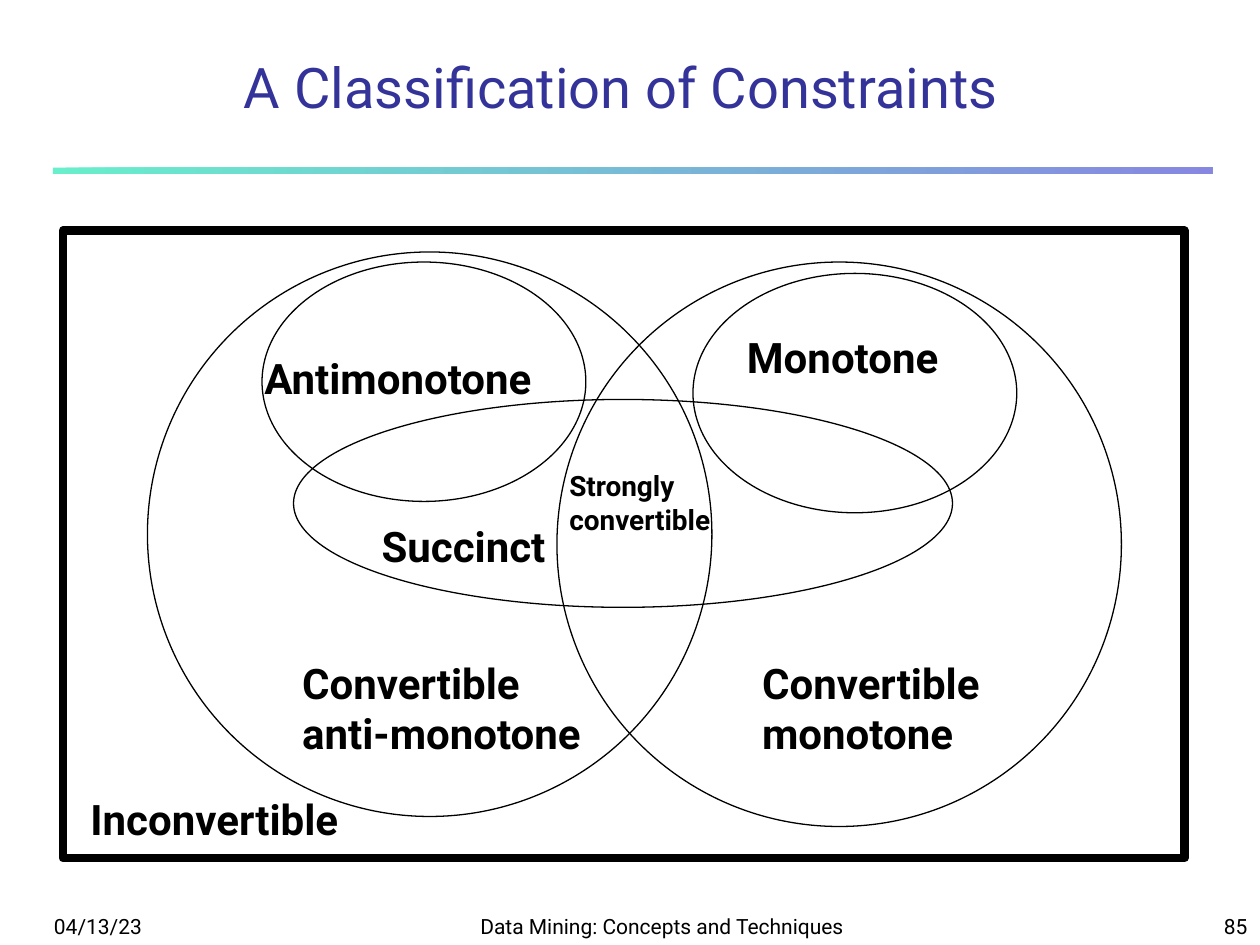
from lxml import etree
from pptx import Presentation
from pptx.dml.color import RGBColor
from pptx.enum.shapes import MSO_SHAPE
from pptx.enum.text import MSO_ANCHOR, MSO_AUTO_SIZE, PP_ALIGN
from pptx.oxml.ns import qn
from pptx.util import Inches, Pt

RECTANGLE, OVAL = MSO_SHAPE.RECTANGLE, MSO_SHAPE.OVAL
TOP, BOTTOM = MSO_ANCHOR.TOP, MSO_ANCHOR.BOTTOM
LEFT, CENTER, RIGHT = PP_ALIGN.LEFT, PP_ALIGN.CENTER, PP_ALIGN.RIGHT
NO_AUTOFIT = MSO_AUTO_SIZE.NONE

BLACK = RGBColor(0x00, 0x00, 0x00)
TITLE_BLUE = RGBColor(0x33, 0x33, 0x99)
RULE_GREEN = RGBColor(0x00, 0xE4, 0xA8)
RULE_BLUE = RGBColor(0x33, 0x33, 0xCC)
RULE_OPACITY = 59  # percent
FONT = "Roboto"

BIG_CIRCLE = (4.48, 4.48)
SMALL_OVAL = (2.57, 1.9)


def write_text(shape, text, size, color=BLACK, bold=False, align=LEFT,
               anchor=TOP, wrap=True):
    frame = shape.text_frame
    frame.text = text
    frame.word_wrap = wrap
    frame.auto_size = NO_AUTOFIT
    frame.vertical_anchor = anchor
    for paragraph in frame.paragraphs:
        paragraph.alignment = align
        paragraph.font.name = FONT
        paragraph.font.size = Pt(size)
        paragraph.font.bold = bold
        paragraph.font.color.rgb = color


def add_text(shapes, box, text, size, **style):
    textbox = shapes.add_textbox(*map(Inches, box))
    write_text(textbox, text, size, **style)


def add_outline(shapes, kind, box, width):
    outline = shapes.add_shape(kind, *map(Inches, box))
    outline.shadow.inherit = False
    outline.fill.background()
    outline.line.color.rgb = BLACK
    outline.line.width = Pt(width)


def add_title(slide, text):
    title = slide.shapes.title
    title.left, title.top, title.width, title.height = map(
        Inches, (0.67, 0.33, 8.52, 0.67))
    write_text(title, text, 32, color=TITLE_BLUE, align=CENTER, anchor=BOTTOM)


def add_title_rule(shapes):
    rule = shapes.add_shape(RECTANGLE, *map(Inches, (0.42, 1.33, 9.2, 0.05)))
    rule.shadow.inherit = False
    rule.line.fill.background()
    rule.fill.gradient()
    rule.fill.gradient_angle = 0
    for stop, color in zip(rule.fill.gradient_stops, (RULE_GREEN, RULE_BLUE)):
        stop.color.rgb = color
    # Transparency on both gradient stops
    for color_element in rule.fill._xPr.iter(qn("a:srgbClr")):
        alpha = etree.SubElement(color_element, qn("a:alpha"))
        alpha.set("val", str(RULE_OPACITY * 1000))


def add_footer(shapes):
    for left, width, text, align in (
        (0.33, 2.08, "04/13/23", LEFT),
        (3.67, 3.17, "Data Mining: Concepts and Techniques", CENTER),
        (7.92, 2.08, "85", RIGHT),
    ):
        add_text(shapes, (left, 7.08, width, 0.42), text, 12,
                 align=align, anchor=BOTTOM)


def add_constraint_diagram(shapes):
    # Frame for all constraints, then the overlapping classes
    add_outline(shapes, RECTANGLE, (0.5, 1.83, 8.9, 4.98), 5)
    for class_box in (
        (1.17, 2, *BIG_CIRCLE),      # convertible anti-monotone
        (4.42, 2.08, *BIG_CIRCLE),   # convertible monotone
        (2.33, 3.17, 5.23, 1.65),    # succinct
        (5.5, 2.17, *SMALL_OVAL),    # monotone
        (2.08, 2.08, *SMALL_OVAL),   # antimonotone
    ):
        add_outline(shapes, OVAL, class_box, 0.75)

    # Class names
    for box, text, size, wrap in (
        ((2.3, 5.17, 2.7, 0.9), "Convertible\nanti-monotone", 24, False),
        ((5.95, 5.17, 2.13, 0.9), "Convertible\nmonotone", 24, False),
        ((4.42, 3.67, 1.65, 0.64), "Strongly\nconvertible", 16, True),
        ((0.62, 6.25, 2.44, 0.5), "Inconvertible", 24, False),
        ((2.93, 4.08, 1.58, 0.5), "Succinct", 24, False),
        ((2, 2.75, 2.57, 0.9), "Antimonotone", 24, True),
        ((5.83, 2.58, 1.91, 0.5), "Monotone", 24, False),
    ):
        add_text(shapes, box, text, size, bold=True, wrap=wrap)


def main():
    presentation = Presentation()
    presentation.slide_width = Inches(10)
    presentation.slide_height = Inches(7.5)
    slide = presentation.slides.add_slide(presentation.slide_layouts[5])

    add_title_rule(slide.shapes)
    add_footer(slide.shapes)
    add_title(slide, "A Classification of Constraints")
    diagram = slide.shapes.add_group_shape()
    add_constraint_diagram(diagram.shapes)

    presentation.save("out.pptx")


if __name__ == "__main__":
    main()
